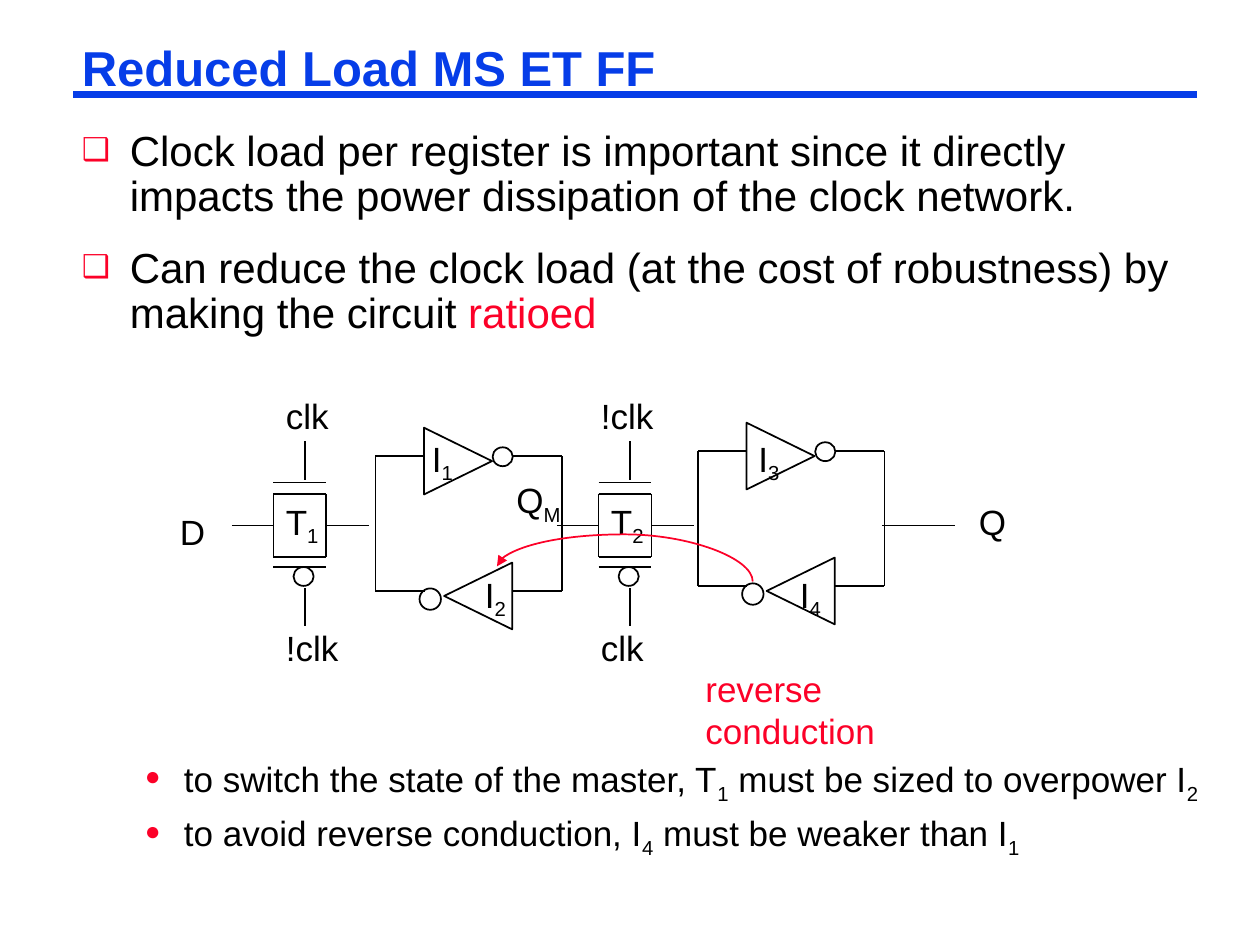
from lxml.etree import SubElement
from pptx import Presentation
from pptx.dml.color import RGBColor
from pptx.enum.shapes import MSO_CONNECTOR, MSO_SHAPE
from pptx.enum.text import MSO_ANCHOR, MSO_AUTO_SIZE, PP_ALIGN
from pptx.oxml.ns import qn
from pptx.util import Inches, Pt

COLORS = {name: RGBColor.from_string(value) for name, value in
          {"blue": "063DE8", "red": "FC0128", "black": "000000"}.items()}

presentation = Presentation()
presentation.slide_width, presentation.slide_height = Inches(10), Inches(7.5)
slide = presentation.slides.add_slide(presentation.slide_layouts[3])
title, points, conclusions = slide.placeholders


def connect(x1, y1, x2, y2, color="black", width=1, kind=MSO_CONNECTOR.STRAIGHT):
    connector = slide.shapes.add_connector(
        kind, Inches(x1), Inches(y1), Inches(x2), Inches(y2))
    connector.line.color.rgb = COLORS[color]
    connector.line.width = Pt(width)
    SubElement(connector._element.spPr, qn("a:effectLst"))
    return connector


def write(paragraph, text, size, color="black", subscripts=True):
    paragraph.font.name = "Arial"
    paragraph.font.size = Pt(size)
    paragraph.font.color.rgb = COLORS[color]
    for position, piece in enumerate(text.split("|")):
        if not piece:
            continue
        run = paragraph.add_run()
        run.text = piece
        if position % 2 and subscripts:
            run._r.get_or_add_rPr().set("baseline", "-25000")
        elif position % 2:
            run.font.color.rgb = COLORS["red"]


connect(0.58, 0.75, 9.5, 0.75, "blue", 4.5)

for placeholder, left, top, width, height in [
    (title, 0.58, 0.33, 8.92, 0.46),
    (points, 0.58, 1, 9, 1.75),
    (conclusions, 0.58, 6, 9.17, 0.76),
]:
    placeholder.left, placeholder.top = Inches(left), Inches(top)
    placeholder.width, placeholder.height = Inches(width), Inches(height)
    frame = placeholder.text_frame
    frame.auto_size = MSO_AUTO_SIZE.NONE
    frame.word_wrap = True
    frame.vertical_anchor = MSO_ANCHOR.TOP
    frame.margin_left = frame.margin_right = Inches(0.07)
    frame.margin_top = frame.margin_bottom = Inches(0.03)

heading = title.text_frame.paragraphs[0]
heading.alignment = PP_ALIGN.LEFT
heading.line_spacing = 0.87
write(heading, "Reduced Load MS ET FF", 28, "blue")
heading.font.bold = True

lists = [
    (points, 0, "❑", 24, 0.9, 15, 0.38, 0.38, [
        "Clock load per register is important since it directly impacts "
        "the power dissipation of the clock network.",
        "Can reduce the clock load (at the cost of robustness) by making "
        "the circuit |ratioed|"]),
    (conclusions, 1, "●", 20, 0.85, 8, 0.81, 0.31, [
        "to switch the state of the master, T|1| must be sized to overpower I|2|",
        "to avoid reverse conduction, I|4| must be weaker than I|1|"]),
]
for placeholder, level, bullet, size, spacing, gap, margin, hanging, texts in lists:
    frame = placeholder.text_frame
    for index, text in enumerate(texts):
        paragraph = frame.add_paragraph() if index else frame.paragraphs[0]
        paragraph.level = level
        paragraph.line_spacing = spacing
        paragraph.space_before = Pt(gap if index else 0)
        properties = paragraph._p.get_or_add_pPr()
        properties.set("marL", str(Inches(margin)))
        properties.set("indent", str(-Inches(hanging)))
        bullet_color = SubElement(properties, qn("a:buClr"))
        SubElement(bullet_color, qn("a:srgbClr"), val=str(COLORS["red"]))
        SubElement(properties, qn("a:buSzPct"), val="75000")
        SubElement(properties, qn("a:buChar"), char=bullet)
        write(paragraph, text, size, subscripts=level == 1)

outlines = []
for x, y in [(2.98, 3.62), (5.54, 3.58)]:
    right, bottom = x + 1.48, y + 1.07
    for row in (y, bottom):
        connect(x, row, x + 0.39, row)
        connect(x + 1.09, row, right, row)
    for column in (x, right):
        connect(column, y, column, bottom)
    outlines += [
        (MSO_SHAPE.ISOSCELES_TRIANGLE, x + 0.39, y - 0.23, 0.53, 0.54, 90),
        (MSO_SHAPE.OVAL, x + 0.93, y - 0.07, 0.16, 0.15, 0),
        (MSO_SHAPE.ISOSCELES_TRIANGLE, x + 0.55, y + 0.84, 0.53, 0.54, 270),
        (MSO_SHAPE.OVAL, x + 0.35, y + 1.05, 0.17, 0.17, 0),
    ]

for x in (2.17, 4.75):
    right, middle = x + 0.42, x + 0.25
    for row in (3.83, 3.92, 4.42, 4.5):
        connect(x, row, right, row)
    for column in (x, right):
        connect(column, 3.92, column, 4.42)
    connect(x - 0.33, 4.17, x, 4.17)
    connect(right, 4.17, right + 0.34, 4.17)
    connect(middle, 3.5, middle, 3.81)
    connect(middle, 4.67, middle, 4.97)
    outlines.append((MSO_SHAPE.OVAL, x + 0.16, 4.5, 0.16, 0.15, 0))

connect(7, 4.17, 7.58, 4.17)

for kind, left, top, width, height, rotation in outlines:
    shape = slide.shapes.add_shape(
        kind, Inches(left), Inches(top), Inches(width), Inches(height))
    shape.rotation = rotation
    shape.shadow.inherit = False
    shape.fill.background()
    shape.line.color.rgb = COLORS["black"]
    shape.line.width = Pt(1)

labels = [
    ("clk", 2.17, 3.08, 0.54), ("!clk", 4.67, 3.08, 0.62),
    ("!clk", 2.17, 4.92, 0.62), ("clk", 4.67, 4.92, 0.54),
    ("D", 1.33, 4, 0.4), ("Q", 7.67, 3.92, 0.42), ("Q|M|", 4, 3.75, 0.57),
    ("I|1|", 3.33, 3.42, 0.38), ("I|2|", 3.75, 4.5, 0.38),
    ("I|3|", 5.92, 3.42, 0.38), ("I|4|", 6.25, 4.5, 0.38),
    ("T|1|", 2.17, 3.92, 0.47), ("T|2|", 4.75, 3.92, 0.47),
    ("reverse conduction", 5.5, 5.25, 1.7),
]
for text, left, top, width in labels:
    is_note = text == "reverse conduction"
    box = slide.shapes.add_textbox(
        Inches(left), Inches(top), Inches(width), Inches(0.77 if is_note else 0.43))
    box.text_frame.word_wrap = is_note
    write(box.text_frame.paragraphs[0], text, 20, "red" if is_note else "black")

feedback = connect(5.02, 3.54, 4.9, 5.57, "red", kind=MSO_CONNECTOR.CURVE)
properties = feedback._element.spPr
properties.find(qn("a:xfrm")).set("rot", "5400000")
adjustments = properties.find(qn("a:prstGeom")).find(qn("a:avLst"))
SubElement(adjustments, qn("a:gd"), name="adj1", fmla="val 311800")
SubElement(properties.find(qn("a:ln")), qn("a:tailEnd"), type="triangle")

presentation.save("out.pptx")
